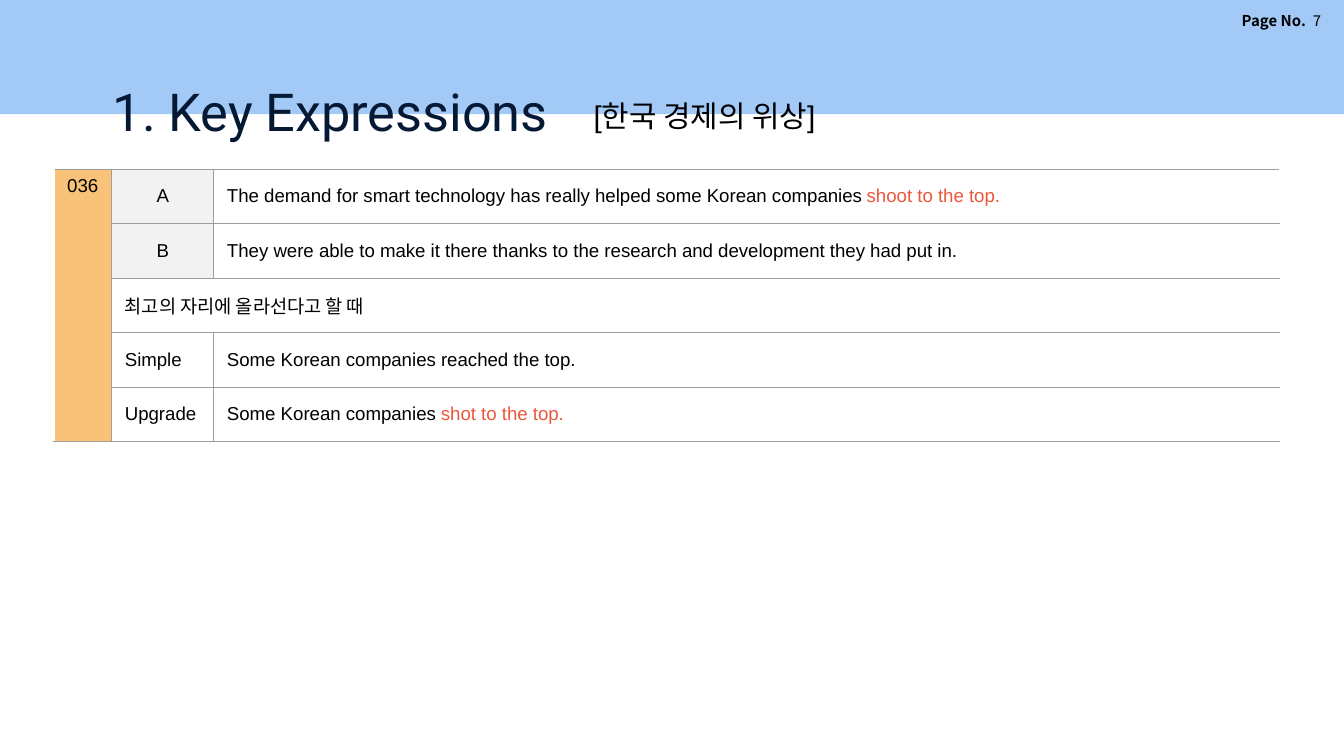
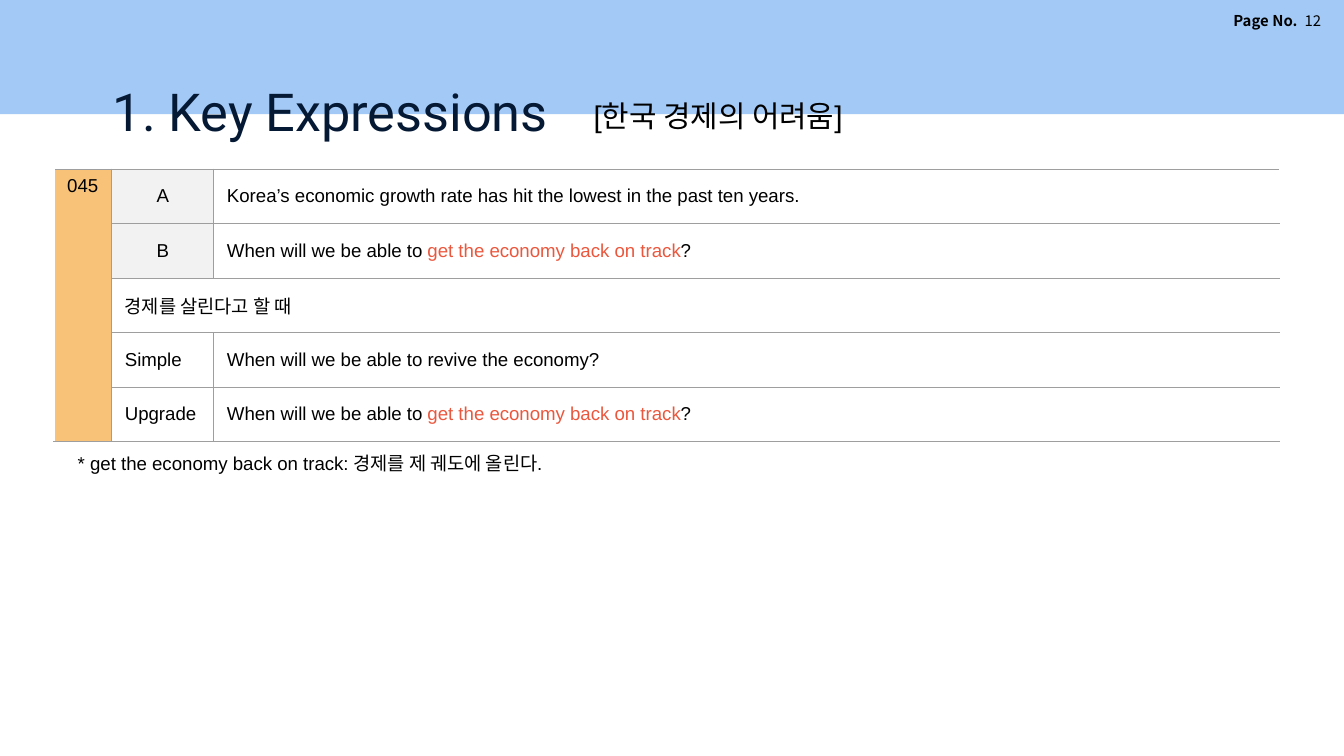
"""Build the two Key Expressions lesson slides."""
from dataclasses import dataclass

from lxml import etree
from pptx import Presentation
from pptx.dml.color import RGBColor
from pptx.enum.shapes import MSO_SHAPE
from pptx.enum.text import MSO_ANCHOR, MSO_AUTO_SIZE, PP_ALIGN
from pptx.oxml.ns import qn
from pptx.util import Cm, Pt

RECTANGLE = MSO_SHAPE.RECTANGLE
TOP, MIDDLE = MSO_ANCHOR.TOP, MSO_ANCHOR.MIDDLE
LEFT, CENTER, RIGHT = PP_ALIGN.LEFT, PP_ALIGN.CENTER, PP_ALIGN.RIGHT
NO_FIT = MSO_AUTO_SIZE.NONE

SKY = RGBColor(0xA3, 0xCA, 0xF7)
NAVY = RGBColor(0x05, 0x19, 0x34)
BLACK = RGBColor(0x00, 0x00, 0x00)
WHITE = RGBColor(0xFF, 0xFF, 0xFF)
CORAL = RGBColor(0xEB, 0x57, 0x3D)
AMBER = RGBColor(0xF8, 0xC3, 0x79)
PALE = RGBColor(0xF2, 0xF2, 0xF2)
GRAY = RGBColor(0x9E, 0x9E, 0x9E)

BODY_FONT, TITLE_FONT, PAGE_FONT = "Arial", "Roboto", "Noto Sans CJK KR"
SLIDE_WIDTH, SLIDE_HEIGHT = Cm(25.4), Cm(14.29)
COLUMN_WIDTHS = (Cm(1.09), Cm(1.93), Cm(20.14))
ROW_HEIGHT = Cm(1.03)
CELL_MARGIN = Cm(0.25)
SPEAKERS = ("A", "B")
VERSIONS = ("Simple", "Upgrade")


@dataclass(frozen=True)
class Run:
    """A stretch of text in one style."""

    text: str
    color: RGBColor = BLACK
    size: float = 10
    font: str = BODY_FONT
    bold: bool = False


@dataclass(frozen=True)
class Box:
    """A position and size in centimetres."""

    left: float
    top: float
    width: float
    height: float

    def lengths(self) -> tuple:
        """Return the four values as lengths."""
        return Cm(self.left), Cm(self.top), Cm(self.width), Cm(self.height)


@dataclass(frozen=True)
class Lesson:
    """The content of one slide."""

    page: str
    topic: str
    topic_width: float
    number: str
    dialogue: tuple
    situation: str
    answers: tuple
    footnote: str = ""


TITLE_BOX = Box(1.88, 1.24, 9.1, 1.6)
PAGE_BOX = Box(21.54, 0.1, 3.68, 0.58)
TABLE_BOX = Box(1.02, 3.2, 23.16, 5.15)
FOOTNOTE_BOX = Box(1.22, 8.41, 14.1, 0.69)
BACK_ON_TRACK = (
    Run("When will we be able to "),
    Run("get the economy back on track", CORAL),
    Run("?"),
)

LESSONS = (
    Lesson(
        "7", "[한국 경제의 위상]", 7.09, "036",
        (
            (
                Run("The demand for smart technology has really helped some Korean companies "),
                Run("shoot to the top.", CORAL),
            ),
            (Run("They were able to make it there thanks to the research and development they had put in."),),
        ),
        "최고의 자리에 올라선다고 할 때",
        (
            (Run("Some Korean companies reached the top."),),
            (Run("Some Korean companies "), Run("shot to the top.", CORAL)),
        ),
    ),
    Lesson(
        "12", "[한국 경제의 어려움]", 6.2, "045",
        (
            (Run("Korea’s economic growth rate has hit the lowest in the past ten years."),),
            BACK_ON_TRACK,
        ),
        "경제를 살린다고 할 때",
        (
            (Run("When will we be able to revive the economy?"),),
            BACK_ON_TRACK,
        ),
        "* get the economy back on track: 경제를 제 궤도에 올린다.",
    ),
)


def write(frame, runs: tuple, align=LEFT) -> None:
    """Write styled runs into the first paragraph of a text frame."""
    paragraph = frame.paragraphs[0]
    paragraph.alignment = align
    for item in runs:
        run = paragraph.add_run()
        run.text = item.text
        run.font.name = item.font
        run.font.size = Pt(item.size)
        run.font.bold = item.bold
        run.font.color.rgb = item.color


def add_text(slide, box: Box, runs: tuple, align=LEFT) -> None:
    """Add a wrapping text box."""
    frame = slide.shapes.add_textbox(*box.lengths()).text_frame
    frame.word_wrap = True
    write(frame, runs, align)


def add_band(slide, layout) -> None:
    """Draw the top band and hand it to the shared layout."""
    band = slide.shapes.add_shape(RECTANGLE, 0, 0, SLIDE_WIDTH, Cm(2.16))
    band.shadow.inherit = False
    band.fill.solid()
    band.fill.fore_color.rgb = SKY
    band.line.fill.background()
    layout.shapes._spTree.insert(2, band._element)


def set_borders(cell, left: RGBColor, right: RGBColor) -> None:
    """Give a cell gray horizontal borders and the given side borders."""
    properties = cell._tc.get_or_add_tcPr()
    sides = (("a:lnL", left), ("a:lnR", right), ("a:lnT", GRAY), ("a:lnB", GRAY))
    for position, (tag, color) in enumerate(sides):
        line = etree.Element(qn(tag), w=str(Pt(1 if color == WHITE else 0.75)))
        fill = etree.SubElement(line, qn("a:solidFill"))
        etree.SubElement(fill, qn("a:srgbClr"), val=str(color))
        properties.insert(position, line)


def fill_cell(cell, runs: tuple, fill=None, align=LEFT, anchor=MIDDLE) -> None:
    """Fill a cell and write its text."""
    if fill is None:
        cell.fill.background()
    else:
        cell.fill.solid()
        cell.fill.fore_color.rgb = fill
    cell.margin_left = cell.margin_right = CELL_MARGIN
    cell.vertical_anchor = anchor
    write(cell.text_frame, runs, align)


def add_expressions(slide, lesson: Lesson) -> None:
    """Add the table of dialogue, situation and answers."""
    table = slide.shapes.add_table(5, 3, *TABLE_BOX.lengths()).table
    table.first_row = table.horz_banding = False
    for column, width in zip(table.columns, COLUMN_WIDTHS):
        column.width = width
    for row in table.rows:
        row.height = ROW_HEIGHT

    number, situation = table.cell(0, 0), table.cell(2, 1)
    number.merge(table.cell(4, 0))
    situation.merge(table.cell(2, 2))
    fill_cell(number, (Run(lesson.number),), AMBER, anchor=TOP)
    number.margin_right = Cm(0.13)
    fill_cell(situation, (Run(lesson.situation),))
    for index, (speaker, line) in enumerate(zip(SPEAKERS, lesson.dialogue)):
        fill_cell(table.cell(index, 1), (Run(speaker),), PALE, CENTER)
        fill_cell(table.cell(index, 2), line)
    for index, (version, answer) in enumerate(zip(VERSIONS, lesson.answers), start=3):
        fill_cell(table.cell(index, 1), (Run(version),))
        fill_cell(table.cell(index, 2), answer)

    for row in table.rows:
        number_cell, label_cell, sentence_cell = row.cells
        set_borders(number_cell, WHITE, GRAY)
        set_borders(label_cell, GRAY, WHITE if label_cell.is_merge_origin else GRAY)
        set_borders(sentence_cell, GRAY, WHITE)


def add_title(slide) -> None:
    """Place and format the title."""
    title = slide.shapes.title
    title.left, title.top, title.width, title.height = TITLE_BOX.lengths()
    frame = title.text_frame
    frame.auto_size = NO_FIT
    frame.vertical_anchor = TOP
    frame.margin_left = frame.margin_right = Cm(0.25)
    frame.margin_top = frame.margin_bottom = Cm(0.25)
    write(frame, (Run("1. Key Expressions", NAVY, 28, TITLE_FONT),))


def add_lesson(slide, lesson: Lesson) -> None:
    """Lay out one lesson slide."""
    page_runs = (
        Run("Page No.  ", size=8, font=PAGE_FONT, bold=True),
        Run(lesson.page, size=8, font=PAGE_FONT),
    )
    add_text(slide, PAGE_BOX, page_runs, RIGHT)
    add_title(slide)
    add_expressions(slide, lesson)
    topic_box = Box(10.97, 1.73, lesson.topic_width, 0.94)
    add_text(slide, topic_box, (Run(lesson.topic, size=16),))
    if lesson.footnote:
        add_text(slide, FOOTNOTE_BOX, (Run(lesson.footnote),))


def main() -> None:
    """Build and save the presentation."""
    deck = Presentation()
    deck.slide_width, deck.slide_height = SLIDE_WIDTH, SLIDE_HEIGHT
    layout = deck.slide_layouts[5]
    slides = [deck.slides.add_slide(layout) for _ in LESSONS]
    add_band(slides[0], layout)
    for slide, lesson in zip(slides, LESSONS):
        add_lesson(slide, lesson)
    deck.save("out.pptx")


if __name__ == "__main__":
    main()
